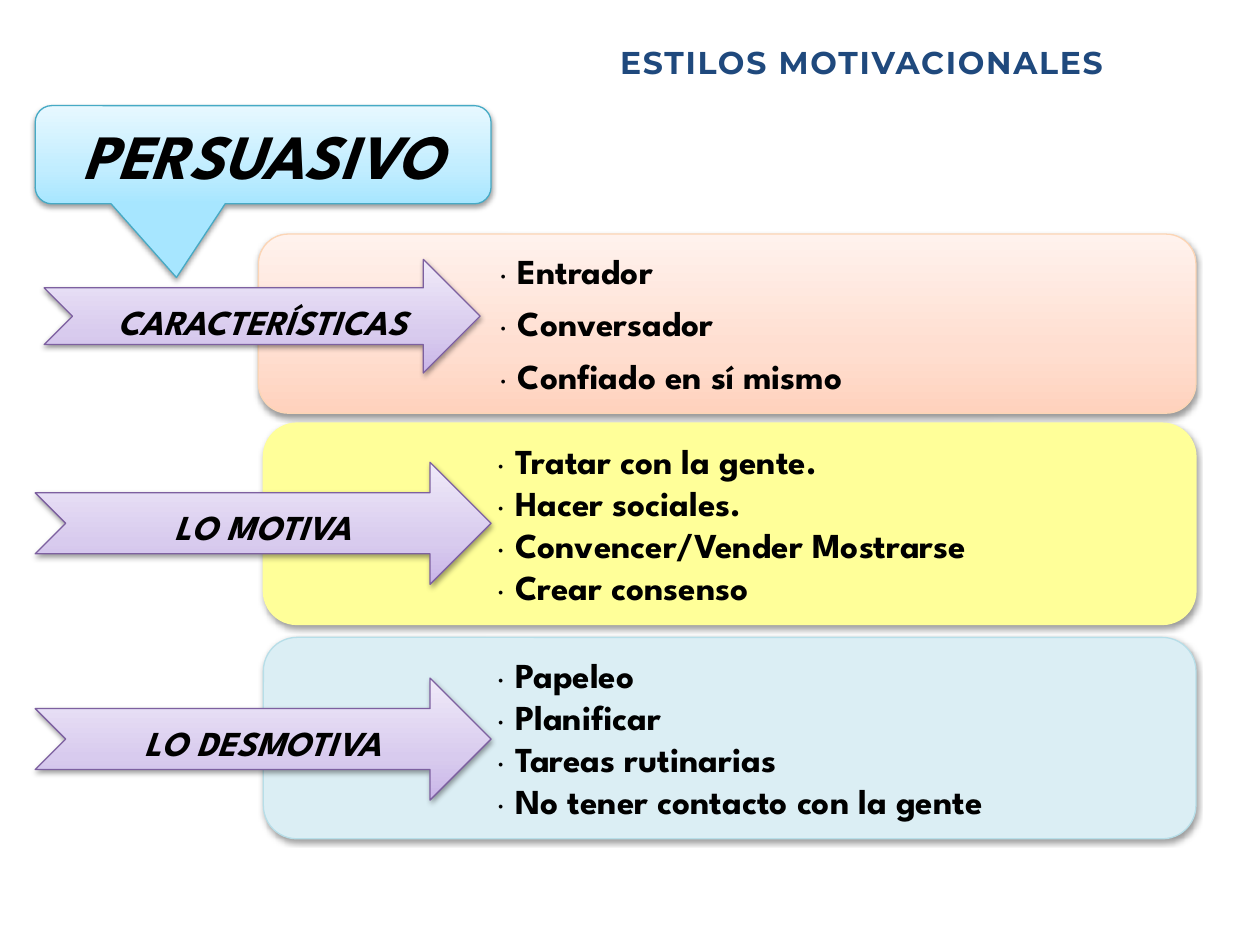
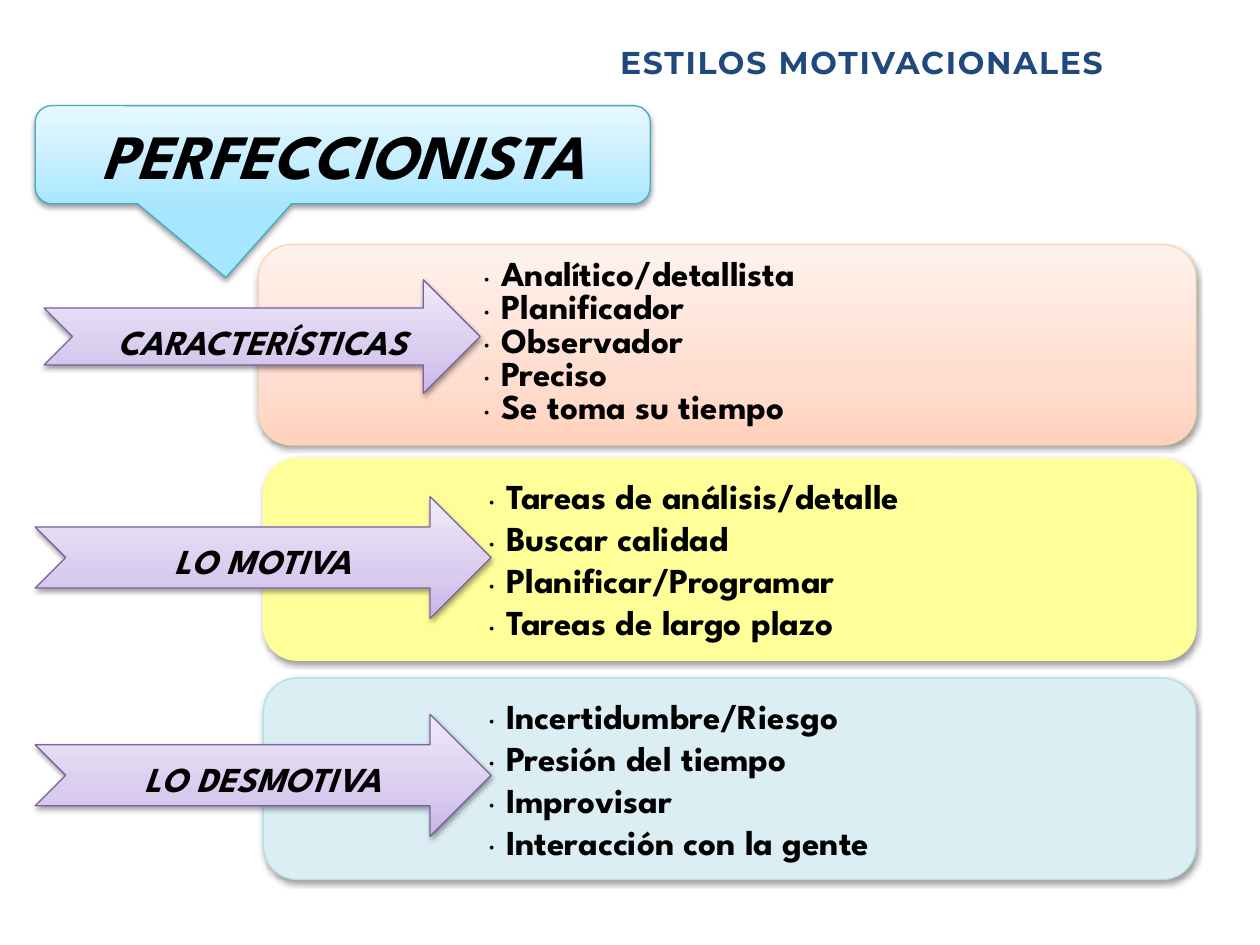
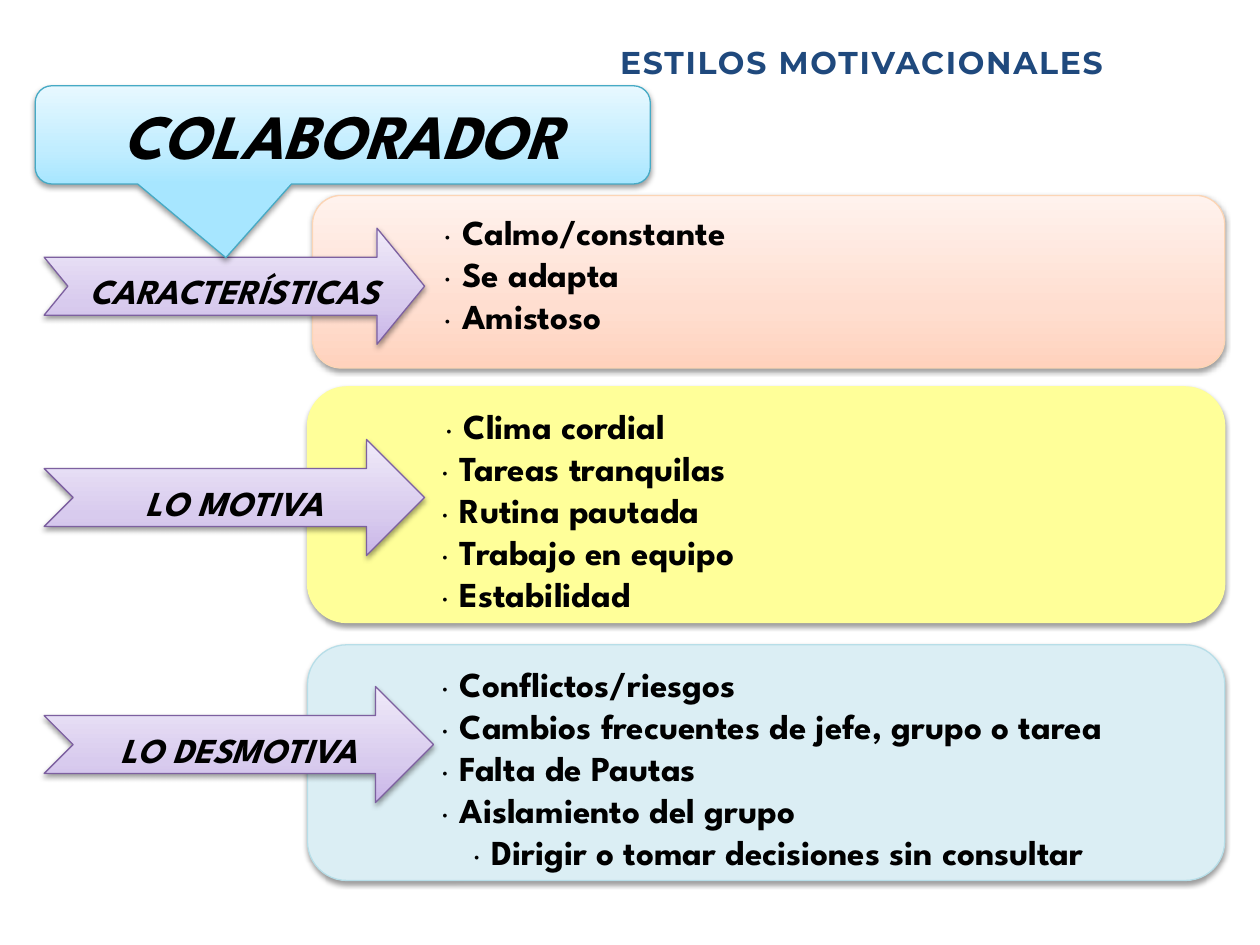
from lxml import etree
from pptx import Presentation
from pptx.dml.color import RGBColor
from pptx.enum.shapes import MSO_SHAPE
from pptx.enum.text import MSO_ANCHOR, MSO_AUTO_SIZE, PP_ALIGN
from pptx.oxml import parse_xml
from pptx.oxml.ns import nsdecls, qn
from pptx.util import Cm, Pt

HEADING = "ESTILOS MOTIVACIONALES"
COLORS = {"text": "000000", "heading": "1F497D"}
FONT, HEAD_FONT = "League Spartan", "Montserrat"
HANG = 0.38  # cm from dot to text

# Fill stops run from bottom to top; a single stop is a plain fill.
LOOKS = {
    "callout": {"fill": ["A7E6FF", "C1EDFF", "E7F8FF"], "line": "46AAC5"},
    "arrow": {"fill": ["C9B5E8", "D8CBEE", "F0EAF9"], "line": "7D60A0"},
    "CARACTERÍSTICAS": {"fill": ["FFD2BD", "FFDED0", "FFF2ED"], "line": "FCD5B5"},
    "LO MOTIVA": {"fill": ["FFFF99"], "line": "FFFF99"},
    "LO DESMOTIVA": {"fill": ["DBEEF4"], "line": "B7DEE8"},
}

# Boxes are left, top, width, height in cm; "dots" is where the bullets stand.
STYLES = [
    {"name": "PERSUASIVO", "callout": (0.71, 2.13, 9.19, 1.98), "rows": [
        {"label": "CARACTERÍSTICAS", "panel": (5.21, 4.72, 18.9, 3.61),
         "arrow": (0.89, 5.23, 8.79, 2.29), "dots": 10.06, "gap": 6,
         "items": ["Entrador", "Conversador", "Confiado en sí mismo"]},
        {"label": "LO MOTIVA", "panel": (5.31, 8.53, 18.8, 4.06),
         "arrow": (0.71, 9.32, 9.19, 2.46), "dots": 10.01,
         "items": ["Tratar con la gente.", "Hacer sociales.",
                   "Convencer/Vender Mostrarse", "Crear consenso"]},
        {"label": "LO DESMOTIVA", "panel": (5.31, 12.85, 18.8, 4.06),
         "arrow": (0.71, 13.67, 9.19, 2.46), "dots": 10.01,
         "items": ["Papeleo", "Planificar", "Tareas rutinarias",
                   "No tener contacto con la gente"]},
    ]},
    {"name": "PERFECCIONISTA", "callout": (0.71, 2.13, 12.4, 1.98), "rows": [
        {"label": "CARACTERÍSTICAS", "panel": (5.21, 4.93, 18.9, 4.04),
         "arrow": (0.89, 5.64, 8.79, 2.29), "dots": 9.73, "pitch": 19,
         "items": ["Analítico/detallista", "Planificador", "Observador",
                   "Preciso", "Se toma su tiempo"]},
        {"label": "LO MOTIVA", "panel": (5.31, 9.25, 18.8, 4.06),
         "arrow": (0.71, 10.01, 9.19, 2.46), "dots": 9.83,
         "items": ["Tareas de análisis/detalle", "Buscar calidad",
                   "Planificar/Programar", "Tareas de largo plazo"]},
        {"label": "LO DESMOTIVA", "panel": (5.31, 13.67, 18.8, 4.06),
         "arrow": (0.71, 14.4, 9.19, 2.46), "dots": 9.83,
         "items": ["Incertidumbre/Riesgo", "Presión del tiempo",
                   "Improvisar", "Interacción con la gente"]},
    ]},
    {"name": "COLABORADOR", "callout": (0.71, 1.73, 12.4, 1.98), "rows": [
        {"label": "CARACTERÍSTICAS", "panel": (6.3, 3.94, 18.39, 3.48),
         "arrow": (0.89, 4.6, 7.67, 2.34), "head": 0.41, "dots": 8.94,
         "items": ["Calmo/constante", "Se adapta", "Amistoso"]},
        {"label": "LO MOTIVA", "panel": (6.2, 7.8, 18.49, 4.75),
         "arrow": (0.89, 8.86, 7.67, 2.34), "dots": 8.89,
         "items": ["Clima cordial", "Tareas tranquilas", "Rutina pautada",
                   "Trabajo en equipo", "Estabilidad"]},
        {"label": "LO DESMOTIVA", "panel": (6.2, 13, 18.49, 4.75),
         "arrow": (0.89, 13.84, 7.85, 2.34), "dots": 8.89,
         "items": ["Conflictos/riesgos",
                   "Cambios frecuentes de jefe, grupo o tarea",
                   "Falta de Pautas", "Aislamiento del grupo",
                   "Dirigir o tomar decisiones sin consultar"]},
    ]},
]
# Items that stand further in than their neighbours, in cm.
NUDGES = {"Clima cordial": 0.08, "Dirigir o tomar decisiones sin consultar": 0.64}


def set_font(para, size, color="text", name=FONT, italic=False):
    font = para.font
    font.name, font.size = name, Pt(size)
    font.bold, font.italic = True, italic
    font.color.rgb = RGBColor.from_string(COLORS[color])


def paint(shape, look):
    """Give the shape its fill, outline and soft shadow."""
    stops = look["fill"]
    if len(stops) == 1:
        shape.fill.solid()
        shape.fill.fore_color.rgb = RGBColor.from_string(stops[0])
    else:
        marks = "".join(
            f'<a:gs pos="{pos}"><a:srgbClr val="{color}"/></a:gs>'
            for pos, color in zip((0, 35000, 100000), stops))
        grad = parse_xml(
            f'<a:gradFill {nsdecls("a")} rotWithShape="1"><a:gsLst>{marks}'
            '</a:gsLst><a:lin ang="16200000" scaled="0"/></a:gradFill>')
        shape.element.spPr.find(qn("a:prstGeom")).addnext(grad)
    shape.line.color.rgb = RGBColor.from_string(look["line"])
    shape.line.width = Pt(0.75)
    shape.shadow.inherit = False
    shape.element.spPr.find(qn("a:effectLst")).append(parse_xml(
        f'<a:outerShdw {nsdecls("a")} blurRad="40000" dist="20000" '
        'dir="5400000" rotWithShape="0"><a:srgbClr val="000000">'
        '<a:alpha val="38000"/></a:srgbClr></a:outerShdw>'))


def add_box(slide, kind, box, look):
    shape = slide.shapes.add_shape(kind, *map(Cm, box))
    paint(shape, LOOKS[look])
    shape.text_frame.vertical_anchor = MSO_ANCHOR.TOP
    return shape


def add_label(shape, text, size):
    para = shape.text_frame.paragraphs[0]
    para.text, para.alignment = text, PP_ALIGN.CENTER
    set_font(para, size, italic=True)
    return para


def add_heading(slide):
    title = slide.shapes.title
    title.left, title.top, title.width, title.height = map(
        Cm, (3.3, 0.74, 19.2, 1.02))
    frame = title.text_frame
    frame.auto_size = MSO_AUTO_SIZE.NONE
    frame.vertical_anchor = MSO_ANCHOR.MIDDLE
    para = frame.paragraphs[0]
    para.text, para.alignment = HEADING, PP_ALIGN.RIGHT
    set_font(para, 18, "heading", HEAD_FONT)
    para._p.pPr.get_or_add_defRPr().set("spc", "100")


def add_panel(slide, row):
    left, _, _, height = row["panel"]
    panel = add_box(slide, MSO_SHAPE.FLOWCHART_ALTERNATE_PROCESS,
                    row["panel"], row["label"])
    frame = panel.text_frame
    # The text area starts after the margin and the rounded corner.
    indent = row["dots"] - left - 0.25 - 0.05 * height
    for num, item in enumerate(row["items"]):
        para = frame.add_paragraph() if num else frame.paragraphs[0]
        para.text, para.alignment = item, PP_ALIGN.LEFT
        props = para._p.get_or_add_pPr()
        props.set("marL", str(Cm(indent + HANG + NUDGES.get(item, 0))))
        props.set("indent", str(-Cm(HANG)))
        etree.SubElement(props, qn("a:buChar")).set("char", ".")
        if num and "gap" in row:
            para.space_before = Pt(row["gap"])
        if "pitch" in row:
            para.line_spacing = Pt(row["pitch"])
        set_font(para, 20)


def add_arrow(slide, row):
    arrow = add_box(slide, MSO_SHAPE.NOTCHED_RIGHT_ARROW, row["arrow"], "arrow")
    arrow.adjustments[1] = row.get("head", 0.5)
    para = add_label(arrow, row["label"], 20)
    para.line_spacing, para.space_after = 1.15, Pt(10)


def add_callout(slide, style):
    shape = add_box(slide, MSO_SHAPE.ROUNDED_RECTANGULAR_CALLOUT,
                    style["callout"], "callout")
    for num, value in enumerate((-0.19, 1.25, 0.17)):
        shape.adjustments[num] = value
    add_label(shape, style["name"], 36)


def main():
    deck = Presentation()
    deck.slide_width, deck.slide_height = Cm(25.4), Cm(19.05)
    for style in STYLES:
        slide = deck.slides.add_slide(deck.slide_layouts[5])
        add_heading(slide)
        for row in style["rows"]:
            add_panel(slide, row)
            add_arrow(slide, row)
        add_callout(slide, style)
    deck.save("out.pptx")


if __name__ == "__main__":
    main()
